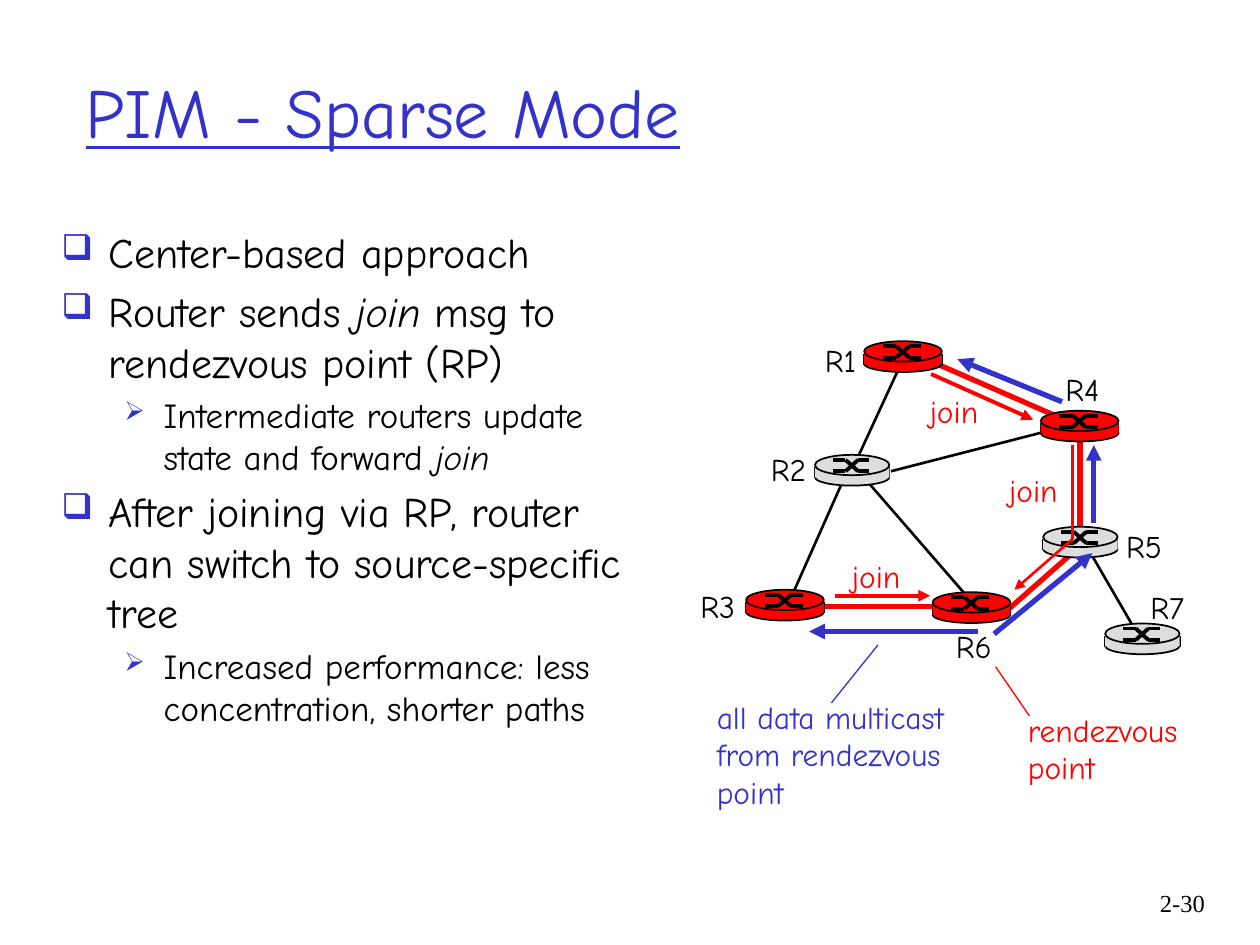
from lxml import etree
from pptx import Presentation
from pptx import util as u
from pptx.dml.color import RGBColor
from pptx.enum import shapes, text
from pptx.oxml.ns import qn

FONT = "Comic Neue"
BLACK, BLUE, RED, GRAY = "000000", "3333CC", "FF0000", "DDDDDD"
PRESET = shapes.MSO_SHAPE


def paint(color):
    return RGBColor.from_string(color)


def place(shape, box):
    shape.left, shape.top, shape.width, shape.height = map(u.Cm, box)


def bullet(para, char, size, left, hang):
    props = para._p.get_or_add_pPr()
    props.set("marL", str(u.Cm(left)))
    props.set("indent", str(-u.Cm(hang)))
    tint = etree.SubElement(props, qn("a:buClr"))
    etree.SubElement(tint, qn("a:srgbClr"), val=BLUE)
    etree.SubElement(props, qn("a:buSzPct"), val=str(size * 1000))
    etree.SubElement(props, qn("a:buChar"), char=char)


def write(para, words, size=18, color=BLACK, font=FONT, under=None, align=None):
    """Fill a paragraph; parts between asterisks become italic."""
    para.alignment = align
    for i, part in enumerate(words.split("*")):
        if part:
            run = para.add_run()
            run.text = part
            run.font.size = u.Pt(size)
            run.font.name = font
            run.font.color.rgb = paint(color)
            run.font.underline = under
            run.font.italic = i % 2 == 1


def label(slide, box, lines, wrap=False, **style):
    frame = slide.shapes.add_textbox(*map(u.Cm, box)).text_frame
    frame.word_wrap = wrap
    for i, words in enumerate(lines):
        para = frame.add_paragraph() if i else frame.paragraphs[0]
        write(para, words, **style)


def stroke(shape, color, width, arrow=False):
    shape.line.color.rgb = paint(color)
    shape.line.width = u.Pt(width)
    if arrow:
        etree.SubElement(shape.line._get_or_add_ln(), qn("a:tailEnd"), type="triangle")


def link(parent, ends, color=BLACK, width=1.5, arrow=False):
    line = parent.shapes.add_connector(
        shapes.MSO_CONNECTOR.STRAIGHT, *map(u.Cm, ends))
    stroke(line, color, width, arrow)
    etree.SubElement(line._element.spPr, qn("a:effectLst"))


def solid(parent, kind, box, color, edge=True):
    shape = parent.shapes.add_shape(kind, *map(u.Cm, box))
    shape.shadow.inherit = False
    shape.fill.solid()
    shape.fill.fore_color.rgb = paint(color)
    if edge:
        stroke(shape, BLACK, 1)
    else:
        shape.line.fill.background()


def router(slide, x, y, color):
    """Draw a disc with a crossed switch sign on its top face."""
    wide = 1.57 if color == RED else 1.5
    group = slide.shapes.add_group_shape()
    solid(group, PRESET.OVAL, (x, y + 0.28, wide, 0.34), color)
    for side in (x, x + wide):
        link(group, (side, y + 0.25, side, y + 0.47), width=1)
    solid(group, PRESET.RECTANGLE, (x, y + 0.25, wide, 0.21), color, edge=False)
    solid(group, PRESET.OVAL, (x, y, wide, 0.41), color)
    a, b, c, d = (x + wide * part for part in (0.24, 0.41, 0.58, 0.73))
    high, low = y + 0.1, y + 0.33
    for start, end in ((high, low), (low, high)):
        for ends in ((a, start, b, start), (b, start, c, end), (c, end, d, end)):
            link(group, ends, width=2.25)


def network(slide, x, y):
    def shift(ends):
        return [v + (y if i % 2 else x) for i, v in enumerate(ends)]

    plain = [(8.34, 4.4, 9.46, 6.33), (4.46, 3, 8.24, 2.03),
             (3.72, 2.9, 6.08, 5.62), (3.49, 3.2, 2.45, 5.54),
             (4.66, 0.84, 3.7, 2.92)]
    tree = [(5.35, 0.82, 8.12, 2.03), (6.82, 5.79, 8.32, 4.47),
            (8.27, 2.31, 8.27, 4.32), (2.83, 5.72, 5.68, 5.72)]
    for ends in plain:
        link(slide, shift(ends))
    for ends in tree:
        link(slide, shift(ends), RED, 3)

    # name, disc corner, colour, label corner
    nodes = [("R6", (5.3, 5.44), RED, (5.52, 6.02)),
             ("R4", (7.48, 1.78), RED, (7.73, 0.84)),
             ("R3", (1.54, 5.39), RED, (0.37, 5.21)),
             ("R5", (7.53, 4.12), GRAY, (8.95, 3.99)),
             ("R2", (2.93, 2.67), GRAY, (1.79, 2.44)),
             ("R1", (3.92, 0.38), RED, (2.88, 0.26)),
             ("R7", (8.78, 6.07), GRAY, (9.44, 5.23))]
    for name, disc, color, spot in nodes:
        router(slide, *shift(disc), color)
        label(slide, (*shift(spot), 1.3, 1.02), [name])

    # join messages
    path = [tuple(map(u.Cm, shift(p)))
            for p in ((8.12, 2.47), (8.12, 4.37), (6.95, 5.39))]
    build = slide.shapes.build_freeform(*path[0])
    build.add_line_segments(path[1:], close=False)
    route = build.convert_to_shape()
    route.shadow.inherit = False
    route.fill.background()
    stroke(route, RED, 1.5, arrow=True)
    for ends in ((3.34, 5.51, 5.25, 5.51), (5.27, 1.04, 7.33, 1.96)):
        link(slide, shift(ends), RED, 2.25, arrow=True)
    for spot in ((6.59, 2.87), (4.99, 1.27), (3.42, 4.6)):
        label(slide, (*shift(spot), 1.6, 1.02), ["join"], color=RED)

    # multicast data
    for ends in ((6.21, 6.23, 2.81, 6.23), (6.54, 6.28, 8.52, 4.65),
                 (8.55, 4.04, 8.55, 2.47), (7.91, 1.6, 5.8, 0.74)):
        link(slide, shift(ends), BLUE, 3, arrow=True)

    # callouts
    label(slide, (*shift((0.7, 7.44)), 5.61, 2.54),
          ["all data multicast", "from rendezvous", "point"], color=BLUE)
    link(slide, shift((3.26, 7.67, 4.2, 6.5)), BLUE, 0.75)
    label(slide, (*shift((6.97, 7.7)), 3.84, 1.78),
          ["rendezvous", "point"], color=RED)
    link(slide, shift((6.57, 6.94, 7.25, 7.93)), RED, 0.75)


def title(slide, box, words):
    shape = slide.shapes.title
    place(shape, box)
    frame = shape.text_frame
    frame.auto_size = text.MSO_AUTO_SIZE.NONE
    frame.vertical_anchor = text.MSO_ANCHOR.MIDDLE
    write(frame.paragraphs[0], words, size=40, color=BLUE, under=True,
          align=text.PP_ALIGN.LEFT)


def points(slide, box, items):
    frame = slide.shapes.add_textbox(*map(u.Cm, box)).text_frame
    frame.word_wrap = True
    for i, (level, words) in enumerate(items):
        para = frame.add_paragraph() if i else frame.paragraphs[0]
        size = 20 if level else 24
        para.level = level
        para.space_before = u.Pt(size * 0.2 if i else 0)
        if level:
            bullet(para, "➢", 75, 2.06, 0.79)
        else:
            bullet(para, "❑", 85, 0.95, 0.95)
        write(para, words, size=size)


def main():
    deck = Presentation()
    deck.slide_width, deck.slide_height = u.Cm(25.4), u.Cm(19.05)
    slide = deck.slides.add_slide(deck.slide_layouts[5])
    title(slide, (1.47, 0.64, 21.59, 3.18), "PIM - Sparse Mode")
    points(slide, (0.99, 4.45, 12.04, 12.9), [
        (0, "Center-based approach"),
        (0, "Router sends *join *msg to rendezvous point (RP)"),
        (1, "Intermediate routers update state and forward *join*"),
        (0, "After joining via RP, router can switch to source-specific tree"),
        (1, "Increased performance: less concentration, shorter paths")])
    network(slide, 13.5, 6.5)
    label(slide, (22.66, 17.78, 1.88, 1.27), ["2-30"], wrap=True, size=14,
          font="Times New Roman", align=text.PP_ALIGN.RIGHT)
    deck.save("out.pptx")


if __name__ == "__main__":
    main()
